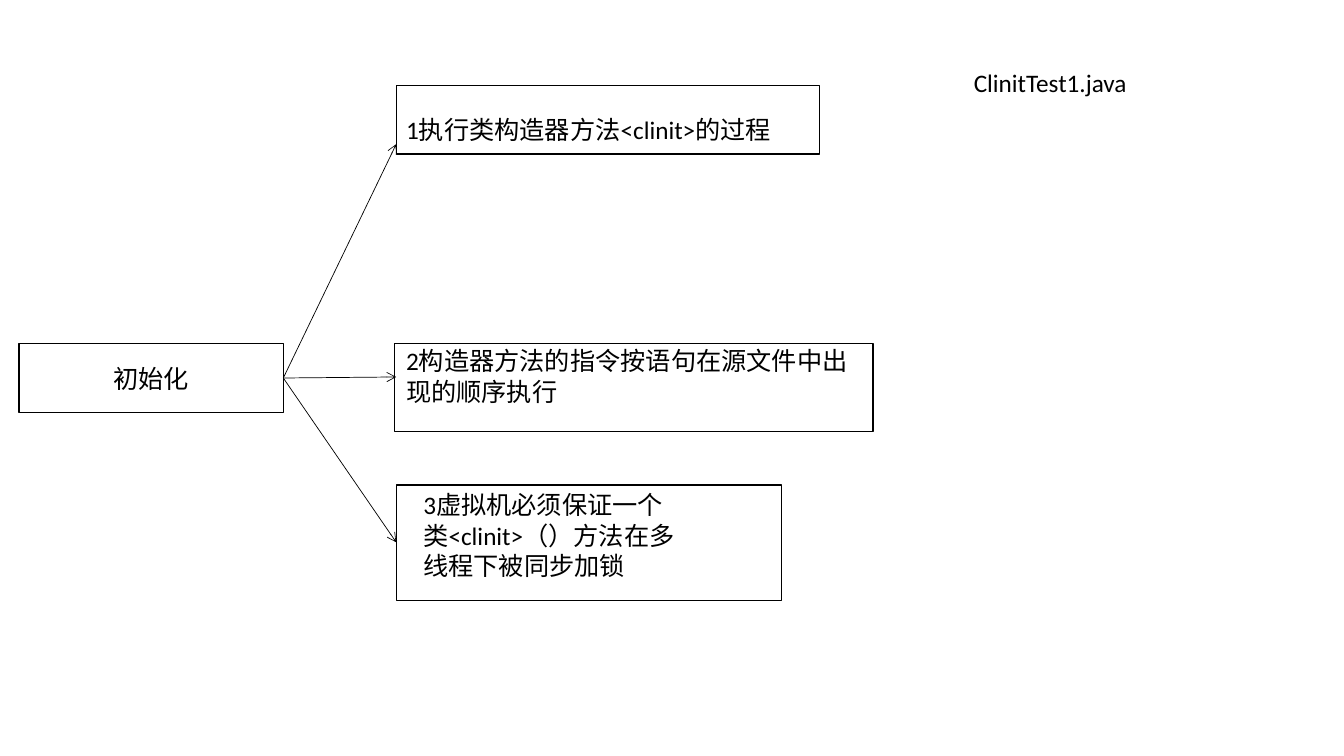
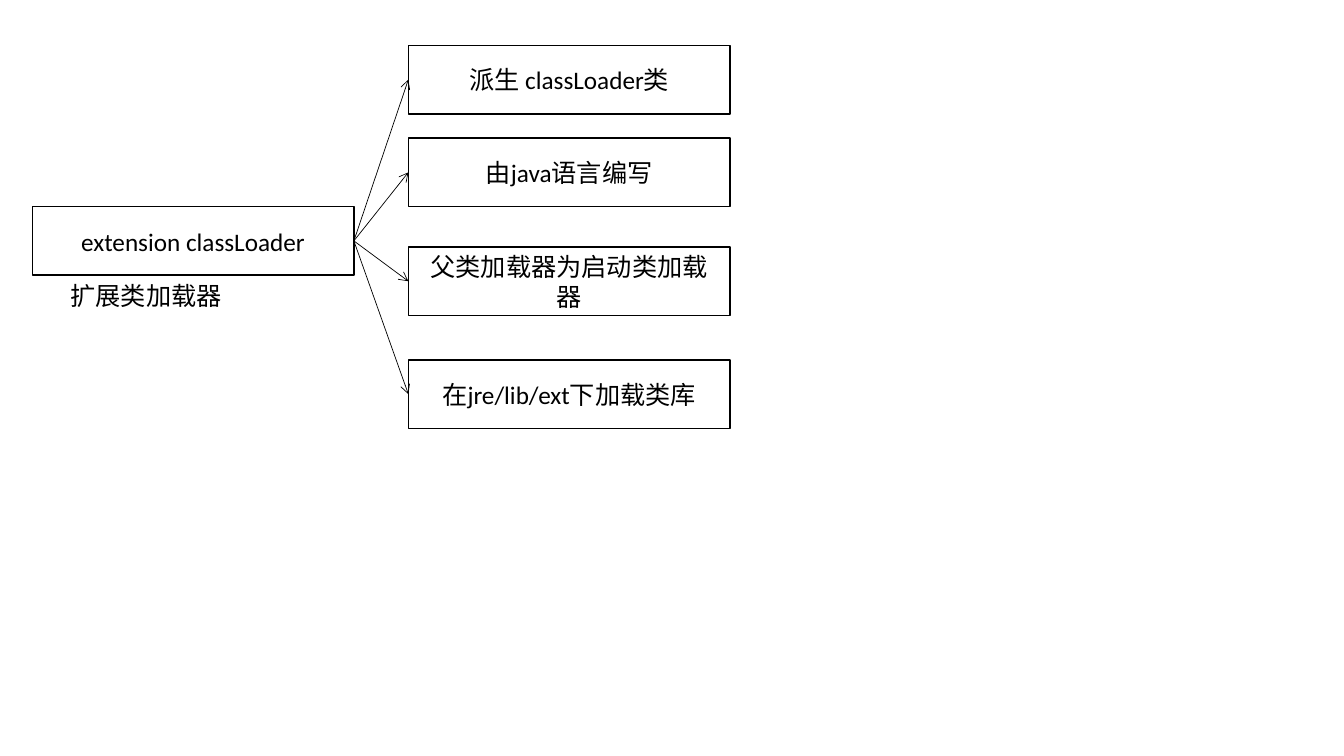
"""Builds two branching diagrams about class initialization and class loading."""
from pptx import Presentation
from pptx.dml.color import RGBColor
from pptx.enum.shapes import MSO_CONNECTOR, MSO_SHAPE
from pptx.enum.text import MSO_ANCHOR, PP_ALIGN
from pptx.oxml.ns import qn
from pptx.util import Inches, Pt
from lxml.etree import SubElement

FONT, SIZE = "Calibri", 18
INK, PAPER = "000000", "FFFFFF"
ROW = 0.68
STEP_LEFT, LOADER_LEFT, LOADER_WIDTH = 3.93, 4.05, 3.19

LOADER_FACTS = [
    ("派生 classLoader类", 0.45),
    ("由java语言编写", 1.37),
    ("父类加载器为启动类加载器", 2.45),
    ("在jre/lib/ext下加载类库", 3.57),
]

DIAGRAMS = [
    {
        "root": ("初始化", (0.19, 3.41, 2.62, ROW)),
        "boxes": [
            ("", (STEP_LEFT, 0.85, 4.2, ROW)),
            ("", (3.91, 3.41, 4.75, 0.87)),
            ("", (STEP_LEFT, 4.81, 3.82, 1.15)),
        ],
        "labels": [
            ("1执行类构造器方法<clinit>的过程", (STEP_LEFT, 1.08, 5.22, 0.71)),
            ("2构造器方法的指令按语句在源文件中出现的顺序执行",
             (STEP_LEFT, 3.38, 4.58, 0.71)),
            ("3虚拟机必须保证一个类<clinit>（）方法在多线程下被同步加锁",
             (4.1, 4.81, 2.81, 1.01)),
            ("ClinitTest1.java", (9.56, 0.62, 2.54, 0.4)),
        ],
        "targets": [(STEP_LEFT, 1.43), (STEP_LEFT, 3.74), (STEP_LEFT, 5.38)],
    },
    {
        "root": ("extension classLoader", (0.32, 2.05, LOADER_WIDTH, ROW)),
        "boxes": [(text, (LOADER_LEFT, top, LOADER_WIDTH, ROW))
                  for text, top in LOADER_FACTS],
        "labels": [("扩展类加载器", (0.6, 2.73, 3.88, 0.4))],
        "targets": [(LOADER_LEFT, top + ROW / 2) for _, top in LOADER_FACTS],
    },
]


def color(code):
    return RGBColor.from_string(code)


def write(shape, text, align, anchor):
    frame = shape.text_frame
    frame.word_wrap = True
    frame.vertical_anchor = anchor
    para = frame.paragraphs[0]
    para.text = text
    para.alignment = align
    para.font.name = FONT
    para.font.size = Pt(SIZE)
    para.font.color.rgb = color(INK)


def add_box(page, text, area):
    box = page.shapes.add_shape(MSO_SHAPE.RECTANGLE, *map(Inches, area))
    box.shadow.inherit = False
    box.fill.solid()
    box.fill.fore_color.rgb = color(PAPER)
    box.line.color.rgb = color(INK)
    box.line.width = Pt(1)
    if text:
        write(box, text, PP_ALIGN.CENTER, MSO_ANCHOR.MIDDLE)


def add_label(page, text, area):
    label = page.shapes.add_textbox(*map(Inches, area))
    write(label, text, PP_ALIGN.LEFT, MSO_ANCHOR.TOP)


def add_arrow(page, start, end):
    arrow = page.shapes.add_connector(
        MSO_CONNECTOR.STRAIGHT, *map(Inches, (*start, *end)))
    arrow.line.color.rgb = color(INK)
    arrow.line.width = Pt(0.5)
    SubElement(arrow.line._get_or_add_ln(), qn("a:tailEnd"), type="arrow")
    SubElement(arrow._element.spPr, qn("a:effectLst"))


deck = Presentation()
deck.slide_width, deck.slide_height = Inches(13.33), Inches(7.5)
blank = deck.slide_layouts[6]

for diagram in DIAGRAMS:
    page = deck.slides.add_slide(blank)
    left, top, width, height = diagram["root"][1]
    for text, area in [diagram["root"], *diagram["boxes"]]:
        add_box(page, text, area)
    for text, area in diagram["labels"]:
        add_label(page, text, area)
    for target in diagram["targets"]:
        add_arrow(page, (left + width, top + height / 2), target)

deck.save("out.pptx")
